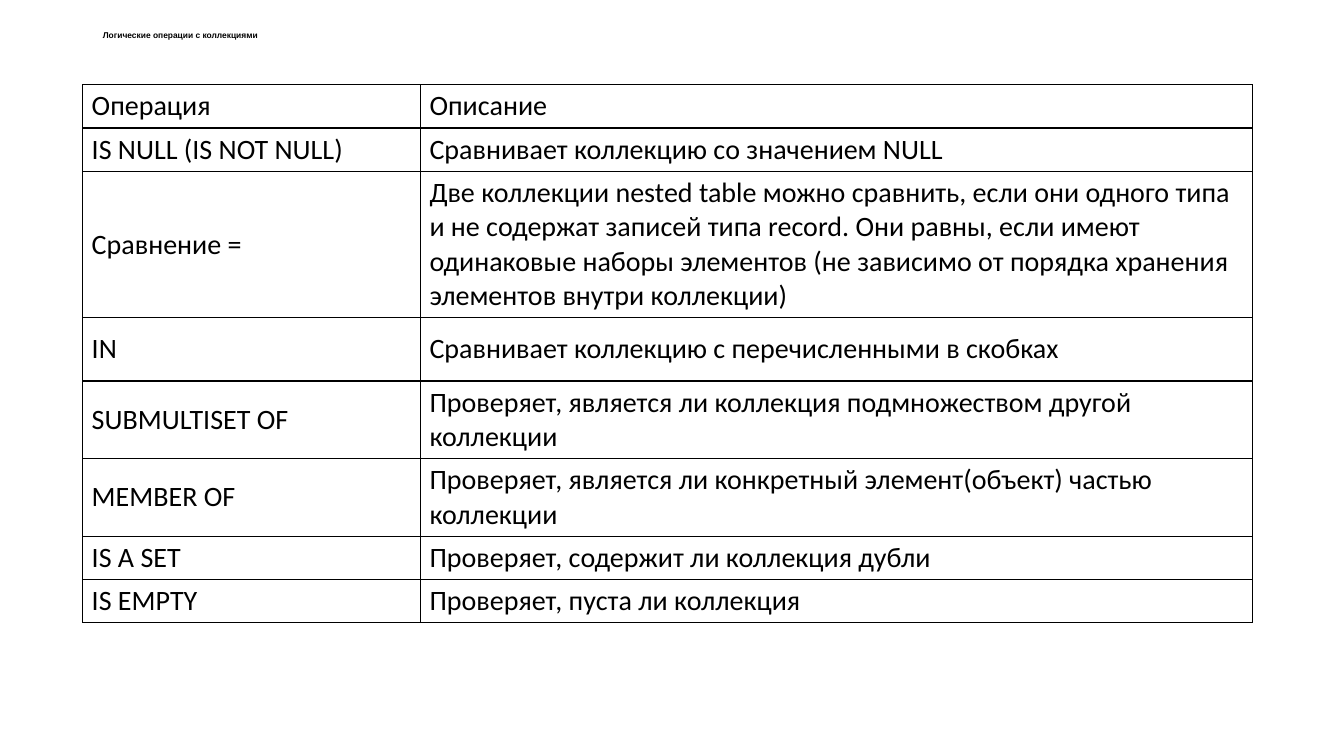
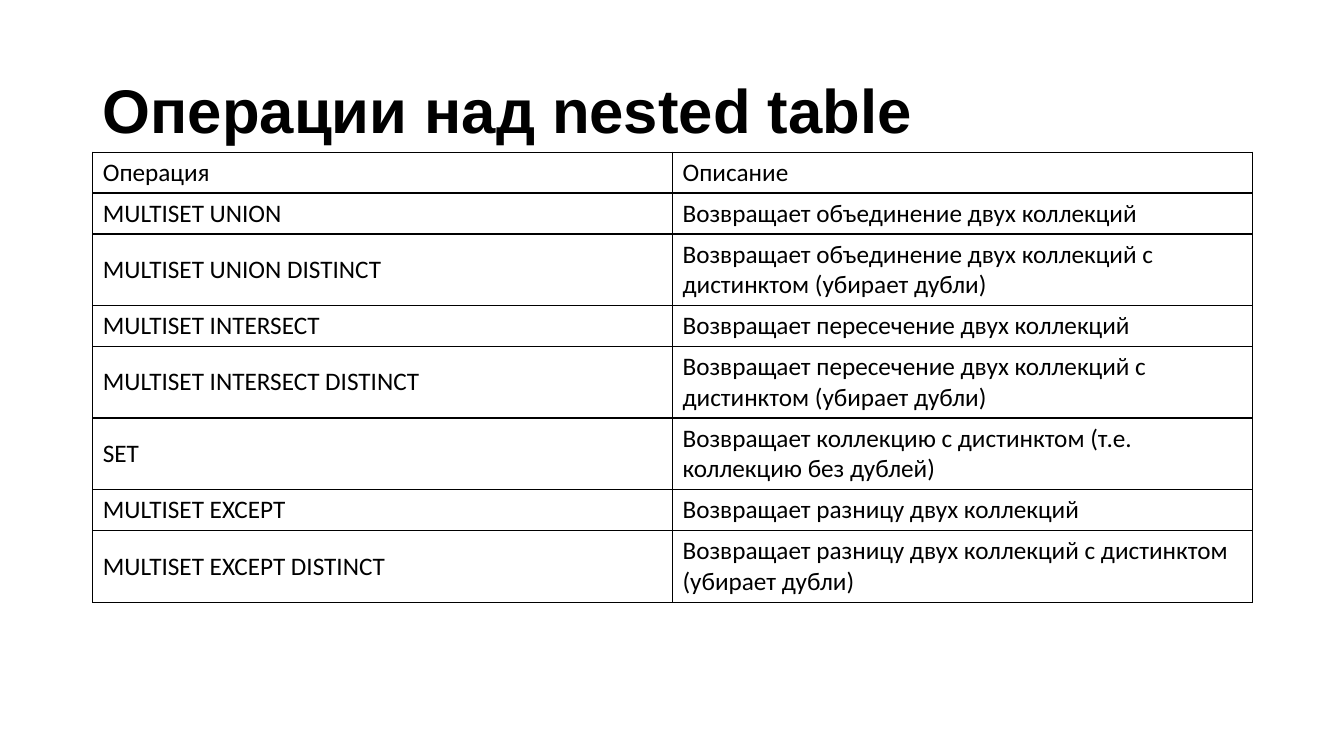
from lxml import etree
from pptx import Presentation
from pptx.dml.color import RGBColor
from pptx.enum.text import MSO_ANCHOR as Anchor, MSO_AUTO_SIZE as AutoSize, PP_ALIGN as Align
from pptx.oxml.ns import qn
from pptx.util import Inches, Pt

COLORS = {"ink": "000000", "paper": "FFFFFF"}
TITLE_FONT = "Arial"
BODY_FONT = "Calibri"
HEADER = ("Операция", "Описание")

LOGICAL_OPERATIONS = [
    HEADER,
    ("IS NULL (IS NOT NULL)", "Сравнивает коллекцию со значением NULL"),
    ("Сравнение =",
     "Две коллекции nested table можно сравнить, если они одного типа и не содержат "
     "записей типа record. Они равны, если имеют одинаковые наборы элементов "
     "(не зависимо от порядка хранения элементов внутри коллекции)"),
    ("IN", "Сравнивает коллекцию с перечисленными в скобках"),
    ("SUBMULTISET OF", "Проверяет, является ли коллекция подмножеством другой коллекции"),
    ("MEMBER OF", "Проверяет, является ли конкретный элемент(объект) частью коллекции"),
    ("IS A SET", "Проверяет, содержит ли коллекция дубли"),
    ("IS EMPTY", "Проверяет, пуста ли коллекция"),
]

NESTED_TABLE_OPERATIONS = [
    HEADER,
    ("MULTISET UNION", "Возвращает объединение двух коллекций"),
    ("MULTISET UNION DISTINCT",
     "Возвращает объединение двух коллекций с дистинктом (убирает дубли)"),
    ("MULTISET INTERSECT", "Возвращает пересечение двух коллекций"),
    ("MULTISET INTERSECT DISTINCT",
     "Возвращает пересечение двух коллекций с дистинктом (убирает дубли)"),
    ("SET", "Возвращает коллекцию с дистинктом (т.е. коллекцию без дублей)"),
    ("MULTISET EXCEPT", "Возвращает разницу двух коллекций"),
    ("MULTISET EXCEPT DISTINCT",
     "Возвращает разницу двух коллекций с дистинктом (убирает дубли)"),
]


def write_text(frame, text, size, font=BODY_FONT, bold=False, color="ink", spacing=1.0):
    paragraph = frame.paragraphs[0]
    paragraph.alignment = Align.LEFT
    paragraph.line_spacing = spacing
    run = paragraph.add_run()
    run.text = text
    run.font.size = Pt(size)
    run.font.name = font
    run.font.bold = bold
    run.font.color.rgb = RGBColor.from_string(COLORS[color])


class Deck:
    """Holds the presentation style and the current slide."""

    def __init__(self):
        self.presentation = Presentation()
        self.presentation.slide_width = Inches(13.33)
        self.presentation.slide_height = Inches(7.5)
        self.slide = None

    def add_slide(self):
        self.slide = self.presentation.slides.add_slide(self.presentation.slide_layouts[5])

    def title(self, text, top, height, size, spacing=1.0):
        shape = self.slide.shapes.title
        shape.left, shape.top = Inches(0.92), Inches(top)
        shape.width, shape.height = Inches(11.5), Inches(height)
        frame = shape.text_frame
        frame.word_wrap = True
        frame.auto_size = AutoSize.NONE
        frame.vertical_anchor = Anchor.MIDDLE
        write_text(frame, text, size, font=TITLE_FONT, bold=True, spacing=spacing)

    def table(self, rows, left, top, widths, heights, size, margins):
        shape = self.slide.shapes.add_table(
            len(rows), len(widths), Inches(left), Inches(top),
            Inches(sum(widths)), Inches(sum(heights)))
        table = shape.table
        table.first_row = table.horz_banding = False
        for column, width in zip(table.columns, widths):
            column.width = Inches(width)
        for row, height, texts in zip(table.rows, heights, rows):
            row.height = Inches(height)
            for cell, text in zip(row.cells, texts):
                self.format_cell(cell, margins)
                write_text(cell.text_frame, text, size)

    def format_cell(self, cell, margins):
        horizontal, vertical = margins
        cell.margin_left = cell.margin_right = Inches(horizontal)
        cell.margin_top = cell.margin_bottom = Inches(vertical)
        cell.vertical_anchor = Anchor.MIDDLE
        cell.fill.solid()
        cell.fill.fore_color.rgb = RGBColor.from_string(COLORS["paper"])
        properties = cell._tc.get_or_add_tcPr()
        for position, side in enumerate("LRTB"):
            line = etree.Element(qn(f"a:ln{side}"), w=str(Pt(1)))
            fill = etree.SubElement(line, qn("a:solidFill"))
            etree.SubElement(fill, qn("a:srgbClr"), val=COLORS["ink"])
            properties.insert(position, line)


deck = Deck()

deck.add_slide()
deck.title("Логические операции с коллекциями", top=0.1, height=0.5, size=6)
deck.table(LOGICAL_OPERATIONS, left=0.82, top=0.84, widths=[3.35, 8.25],
           heights=[0.43, 0.43, 1.45, 0.63, 0.77, 0.77, 0.43, 0.43],
           size=20, margins=(0.09, 0.04))

deck.add_slide()
deck.title("Операции над nested table", top=0.4, height=1.45, size=44, spacing=0.9)
deck.table(NESTED_TABLE_OPERATIONS, left=0.92, top=1.51, widths=[5.75, 5.75],
           heights=[0.4, 0.4, 0.71, 0.4, 0.71, 0.71, 0.4, 0.71],
           size=18, margins=(0.1, 0.05))

deck.presentation.save("out.pptx")
